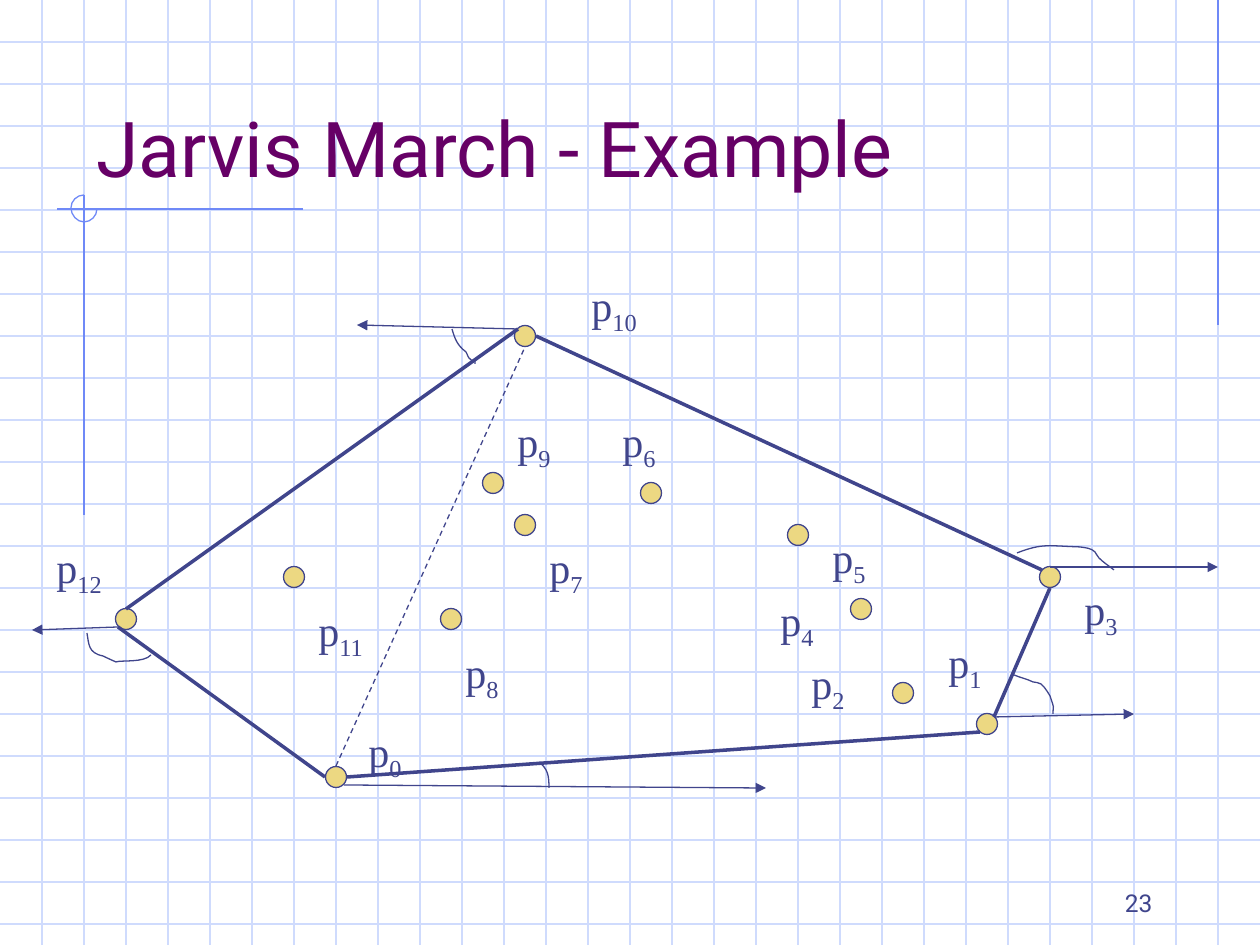
from dataclasses import dataclass

import pptx
import pptx.dml.color
import pptx.enum.dml
import pptx.enum.shapes
import pptx.enum.text
import pptx.oxml.ns
import pptx.util
from lxml import etree

PX = 914400 / 126
WIDTH, HEIGHT, CELL, DOT = 1260, 945, 42, 21


def emu(px):
    return pptx.util.Emu(round(px * PX))


@dataclass(frozen=True)
class Theme:
    grid: str = "CFDBFD"
    accent: str = "6F89F7"
    ink: str = "40458C"
    dot: str = "ECD882"
    title: str = "660066"
    sans: str = "Roboto"
    serif: str = "Times New Roman"
    title_size: int = 44
    label_size: int = 24
    number_size: int = 14
    thin: float = 0.75
    thick: float = 2


class Canvas:
    def __init__(self, slide, theme):
        self.s = slide
        self.t = theme

    def color(self, value):
        return pptx.dml.color.RGBColor.from_string(value)

    def stroke(self, sp, color, width):
        sp.line.color.rgb = self.color(color)
        sp.line.width = pptx.util.Pt(width)

    def line(self, start, end, color, width=None, dashed=False, arrow=False):
        c = self.s.shapes.add_connector(
            pptx.enum.shapes.MSO_CONNECTOR.STRAIGHT, *map(emu, (*start, *end)))
        self.stroke(c, color, width or self.t.thin)
        if dashed:
            c.line.dash_style = pptx.enum.dml.MSO_LINE.DASH
        if arrow:
            ln = c._element.spPr.find(pptx.oxml.ns.qn("a:ln"))
            etree.SubElement(ln, pptx.oxml.ns.qn("a:tailEnd"), type="triangle")
        etree.SubElement(c._element.spPr, pptx.oxml.ns.qn("a:effectLst"))

    def curve(self, points, color):
        scaled = [(emu(x), emu(y)) for x, y in points]
        fb = self.s.shapes.build_freeform(*scaled[0], scale=1.0)
        fb.add_line_segments(scaled[1:], close=False)
        sp = fb.convert_to_shape()
        outline = next(sp._element.iter(pptx.oxml.ns.qn("a:path")))
        sides = outline.findall(pptx.oxml.ns.qn("a:lnTo"))
        for i in range(0, len(sides), 3):
            bezier = etree.SubElement(outline, pptx.oxml.ns.qn("a:cubicBezTo"))
            for side in sides[i:i + 3]:
                bezier.append(side[0])
                outline.remove(side)
        sp.shadow.inherit = False
        sp.fill.background()
        self.stroke(sp, color, self.t.thin)

    def dot(self, x, y):
        sp = self.s.shapes.add_shape(
            pptx.enum.shapes.MSO_SHAPE.FLOWCHART_CONNECTOR,
            *map(emu, (x - DOT / 2, y - DOT / 2, DOT, DOT)))
        sp.shadow.inherit = False
        sp.fill.solid()
        sp.fill.fore_color.rgb = self.color(self.t.dot)
        self.stroke(sp, self.t.ink, self.t.thin)

    def text(self, box, text, font, size, color, subscript="", right=False, bottom=True):
        tf = self.s.shapes.add_textbox(*map(emu, box)).text_frame
        tf.word_wrap = not subscript
        if subscript:
            tf.auto_size = pptx.enum.text.MSO_AUTO_SIZE.SHAPE_TO_FIT_TEXT
        if bottom:
            tf.vertical_anchor = pptx.enum.text.MSO_ANCHOR.BOTTOM
        p = tf.paragraphs[0]
        if right:
            p.alignment = pptx.enum.text.PP_ALIGN.RIGHT
        p.font.name = font
        p.font.size = pptx.util.Pt(size)
        p.font.color.rgb = self.color(color)
        p.add_run().text = text
        if subscript:
            r = p.add_run()
            r.text = subscript
            r._r.get_or_add_rPr().set("baseline", "-25000")

    def label(self, left, top, index):
        width = 58 if index < 10 else 71
        self.text((left, top, width, 71), "p", self.t.serif, self.t.label_size,
                  self.t.ink, subscript=str(index), bottom=False)


DOTS = [(336, 777), (987, 724), (903, 693), (1050, 577), (861, 609), (798, 535), (651, 493),
        (525, 525), (451, 619), (493, 483), (525, 336), (294, 577), (126, 619)]
LABELS = [(356, 719), (936, 630), (799, 651), (1072, 577), (768, 588), (820, 525), (610, 409),
          (537, 535), (453, 640), (505, 409), (579, 273), (306, 598), (44, 535)]
HULL = [((347, 777), (980, 732)), ((994, 717), (1050, 588)), ((1042, 570), (536, 336)),
        ((518, 329), (126, 609)), ((118, 627), (325, 777))]
RAYS = [((344, 785), (766, 788)), ((994, 717), (1134, 714)), ((1050, 567), (1218, 567)),
        ((518, 329), (357, 325)), ((118, 627), (32, 630))]
ANGLES = [
    [(539, 762), (548, 769), (549, 776), (549, 788)],
    [(1014, 675), (1021, 678), (1027, 679), (1033, 682), (1036, 683), (1038, 682), (1041, 684),
     (1045, 687), (1050, 696), (1050, 696), (1055, 711), (1053, 704), (1053, 714)],
    [(1017, 553), (1043, 543), (1048, 546), (1080, 547), (1086, 548), (1091, 548), (1095, 552),
     (1096, 553), (1097, 556), (1099, 558), (1104, 563), (1109, 566), (1114, 570)],
    [(452, 329), (455, 339), (457, 345), (466, 352), (467, 353), (467, 355), (469, 358),
     (476, 365), (475, 358), (475, 364)],
    [(87, 633), (89, 644), (88, 653), (103, 656), (107, 658), (116, 662), (116, 662),
     (121, 660), (144, 663), (151, 655)],
]
CORNER = [(84, 195), (77, 195), (71, 201), (71, 208), (71, 215), (77, 222), (84, 222),
          (91, 222), (97, 216), (97, 209)]


def main():
    prs = pptx.Presentation()
    prs.slide_width, prs.slide_height = emu(WIDTH), emu(HEIGHT)
    t = Theme()
    c = Canvas(prs.slides.add_slide(prs.slide_layouts[6]), t)

    for y in range(CELL, HEIGHT, CELL):
        c.line((0, y), (WIDTH, y), t.grid)
    for x in range(CELL, WIDTH, CELL):
        c.line((x, 0), (x, HEIGHT), t.grid)
    for start, end in [((1218, 0), (1218, 325)), ((303, 209), (57, 209)), ((84, 195), (84, 515))]:
        c.line(start, end, t.accent)
    c.curve(CORNER, t.accent)

    c.text((84, 42, 1071, 157), "Jarvis March - Example", t.sans, t.title_size, t.title)
    for dot in DOTS:
        c.dot(*dot)
    for index, place in enumerate(LABELS):
        c.label(*place, index)

    c.line((336, 766), (525, 347), t.ink, dashed=True)
    for edge, ray, angle in zip(HULL, RAYS, ANGLES):
        c.line(*edge, t.ink, t.thick)
        c.line(*ray, t.ink, arrow=True)
        c.curve(angle, t.ink)
    c.text((903, 861, 262, 63), "23", t.sans, t.number_size, t.ink, right=True)
    prs.save("out.pptx")


if __name__ == "__main__":
    main()
